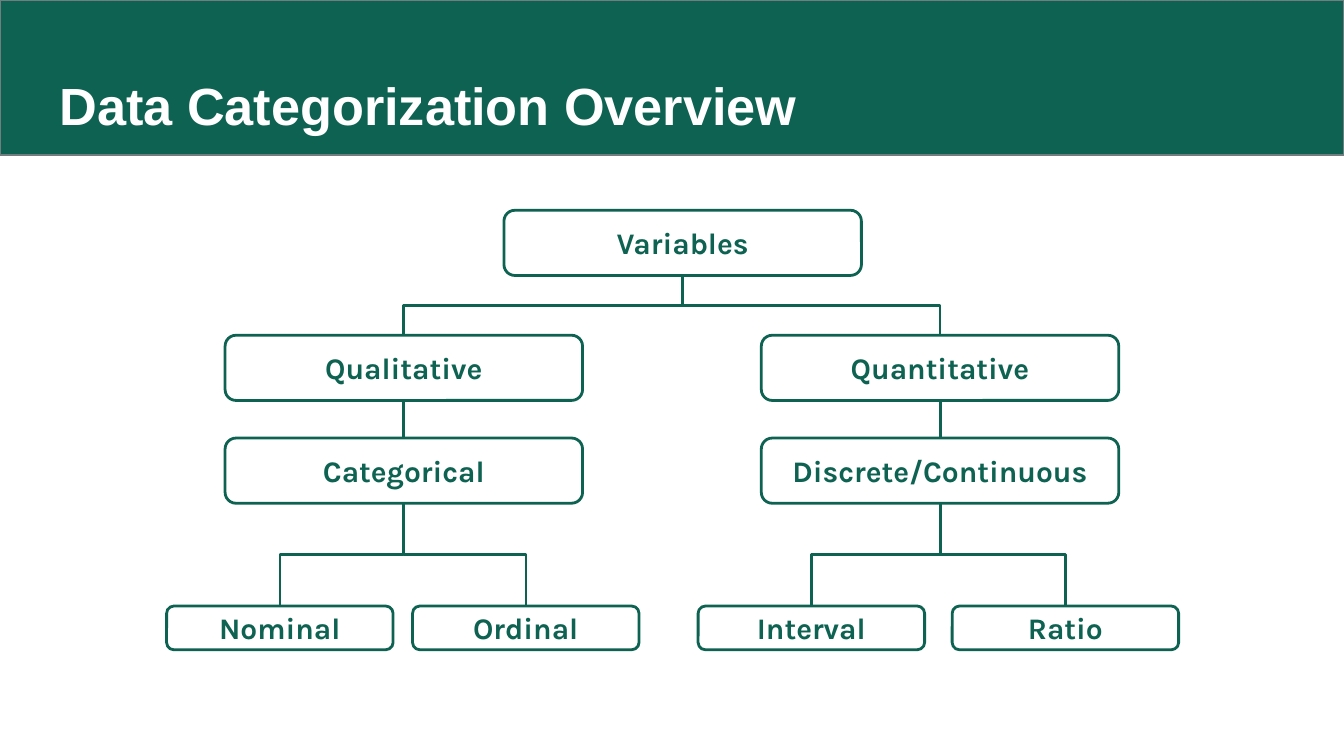
import pptx
import pptx.util
import pptx.dml.color
import pptx.enum.shapes
import pptx.enum.text
import pptx.oxml.ns
import lxml.etree

SHAPE = pptx.enum.shapes.MSO_SHAPE
LINK = pptx.enum.shapes.MSO_CONNECTOR
ANCHOR = pptx.enum.text.MSO_ANCHOR
ALIGN = pptx.enum.text.PP_ALIGN
qn = pptx.oxml.ns.qn

GREEN, GREY, WHITE = "0E6251", "717D7E", "FFFFFF"


def px(n):
    """200 px to the inch."""
    return pptx.util.Emu(n * 4572)


def color(value):
    return pptx.dml.color.RGBColor.from_string(value)


class Diagram:
    line_width = 1.5

    def __init__(self, slide):
        self.shapes = slide.shapes

    def outline(self, s, value, width):
        s.line.color.rgb = color(value)
        s.line.width = pptx.util.Pt(width)

    def text(self, s, words, font, size, value, anchor, align):
        tf = s.text_frame
        tf.word_wrap = True
        tf.vertical_anchor = anchor
        tf.margin_left = tf.margin_right = px(20)
        tf.margin_top = tf.margin_bottom = px(20)
        tf.text = words
        p = tf.paragraphs[0]
        p.alignment = align
        f = p.runs[0].font
        f.name, f.size, f.bold = font, pptx.util.Pt(size), True
        f.color.rgb = color(value)

    def band(self, x, y, w, h):
        s = self.shapes.add_shape(SHAPE.RECTANGLE, px(x), px(y), px(w), px(h))
        s.shadow.inherit = False
        s.fill.solid()
        s.fill.fore_color.rgb = color(GREEN)
        self.outline(s, GREY, 0.75)

    def title(self, words, x, y, w, h):
        s = self.shapes.add_textbox(px(x), px(y), px(w), px(h))
        self.text(s, words, "Arial", 28, WHITE, ANCHOR.BOTTOM, ALIGN.LEFT)

    def node(self, words, center, y, w, h):
        s = self.shapes.add_shape(SHAPE.ROUNDED_RECTANGLE,
                                  px(center - w // 2), px(y), px(w), px(h))
        s.shadow.inherit = False
        s.fill.background()
        self.outline(s, GREEN, self.line_width)
        self.text(s, words, "Karla", 16, GREEN, ANCHOR.MIDDLE, ALIGN.CENTER)
        return s

    def link(self, parent, child):
        """Join the bottom of parent to the top of child."""
        x1, y1 = parent.left + parent.width // 2, parent.top + parent.height
        x2, y2 = child.left + child.width // 2, child.top
        kind = LINK.STRAIGHT if x1 == x2 else LINK.ELBOW
        c = self.shapes.add_connector(kind, x1, y1, x2, y2)
        c.begin_connect(parent, 2)
        c.end_connect(child, 0)
        if kind == LINK.ELBOW:
            self.turn(c, x1, y1, x2, y2)
        self.outline(c, GREEN, self.line_width)
        lxml.etree.SubElement(c.element.spPr, qn("a:effectLst"))

    def turn(self, c, x1, y1, x2, y2):
        """Rotate an elbow so that it leaves and arrives vertically."""
        c.width, c.height = y2 - y1, abs(x2 - x1)
        c.left = (x1 + x2 - c.width) // 2
        c.top = (y1 + y2 - c.height) // 2
        xfrm = c.element.spPr.find(qn("a:xfrm"))
        leftward = x2 < x1
        xfrm.set("rot", str((90 if leftward else 270) * 60000))
        xfrm.set("flipH", "0" if leftward else "1")


def main():
    prs = pptx.Presentation()
    prs.slide_width, prs.slide_height = px(2000), px(1125)
    d = Diagram(prs.slides.add_slide(prs.slide_layouts[6]))

    # Header
    d.band(0, 0, 2000, 231)
    d.title("Data Categorization Overview", 69, 97, 1864, 126)

    # Tree: each branch is a center, two stacked nodes and its leaves
    branches = [
        (601, "Qualitative", "Categorical", [("Nominal", 416), ("Ordinal", 782)]),
        (1399, "Quantitative", "Discrete/Continuous", [("Interval", 1207), ("Ratio", 1585)]),
    ]
    root = d.node("Variables", 1016, 313, 532, 97)
    for center, group, kind, leaves in branches:
        upper = d.node(group, center, 499, 532, 97)
        lower = d.node(kind, center, 652, 532, 97)
        d.link(root, upper)
        d.link(upper, lower)
        for words, leaf_center in leaves:
            d.link(lower, d.node(words, leaf_center, 902, 337, 65))

    prs.save("out.pptx")


if __name__ == "__main__":
    main()
